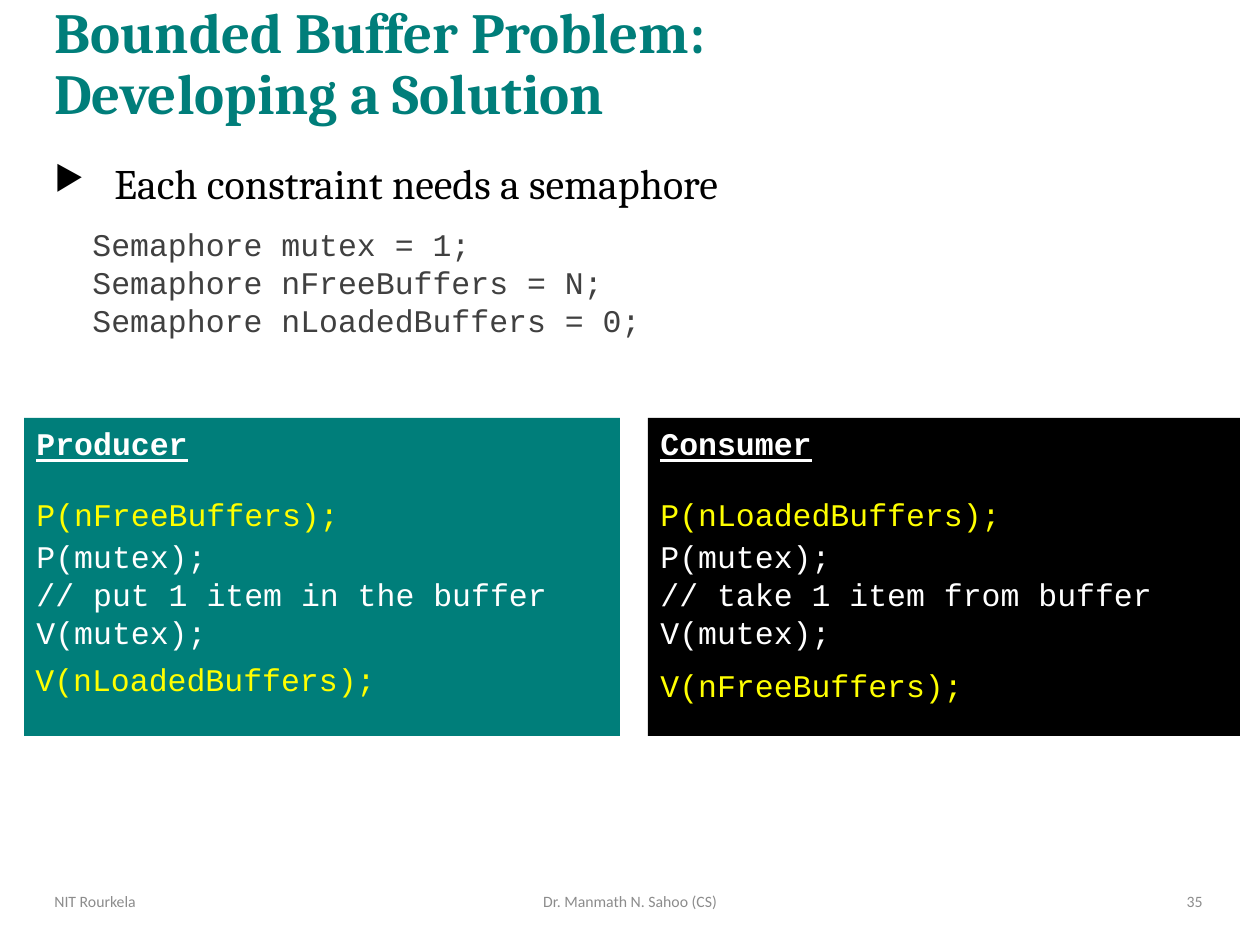
from lxml import etree
from pptx import Presentation, util as u
from pptx.dml.color import RGBColor
from pptx.enum import shapes, text
from pptx.oxml.ns import qn

TEAL, BLACK, WHITE = "007E7A", "000000", "FFFFFF"
YELLOW, DARK_GRAY, GRAY = "FFFF00", "404040", "8C8C8C"
HEADING, CODE, FOOTER = "Cambria", "Courier New", "Calibri"
ALIGN = text.PP_ALIGN
PANEL_TOP, PANEL_HEIGHT = 418, 318


def px(length):
    return u.Emu(round(length * 914400 / 126))


def color(hex_string):
    return RGBColor.from_string(hex_string)


def style(paragraph, name, size, fill, bold=False, underline=False):
    font = paragraph.font
    font.name, font.size = name, u.Pt(size)
    font.bold, font.underline = bold, underline
    font.color.rgb = color(fill)


def add_text_frame(slide, box, anchor=text.MSO_ANCHOR.TOP):
    frame = slide.shapes.add_textbox(*map(px, box)).text_frame
    frame.word_wrap = True
    frame.vertical_anchor = anchor
    return frame


def add_lines(frame, lines):
    """Fill the frame with one paragraph per line and return them."""
    paragraphs = [frame.paragraphs[0]]
    paragraphs += [frame.add_paragraph() for _ in lines[1:]]
    for paragraph, line in zip(paragraphs, lines):
        paragraph.text = line
    return paragraphs


def set_bullet(paragraph, left, indent, character, percent):
    properties = paragraph._p.get_or_add_pPr()
    properties.set("marL", str(px(left)))
    properties.set("indent", str(px(indent)))
    if character:
        size = etree.SubElement(properties, qn("a:buSzPct"))
        size.set("val", str(percent * 1000))
        etree.SubElement(properties, qn("a:buChar")).set("char", character)
    else:
        etree.SubElement(properties, qn("a:buNone"))


def add_title(slide, box, title):
    frame = add_text_frame(slide, box, text.MSO_ANCHOR.MIDDLE)
    paragraph, = add_lines(frame, [title])
    paragraph.line_spacing = 0.9
    style(paragraph, HEADING, 32.4, TEAL, bold=True)


def add_body(slide, box, point, code_lines):
    frame = add_text_frame(slide, box)
    first, *code = add_lines(frame, [point, *code_lines])
    set_bullet(first, 60, -60, "▶", 80)
    first.line_spacing = 1.2
    first.space_after = u.Pt(10)
    style(first, HEADING, 24, BLACK)
    for paragraph in code:
        paragraph.level = 1
        set_bullet(paragraph, 38, 0, None, None)
        style(paragraph, CODE, 18, DARK_GRAY)
    for paragraph in (first, *code):
        paragraph.alignment = ALIGN.JUSTIFY


def add_semaphore_call(slide, box, call):
    frame = add_text_frame(slide, box)
    frame.word_wrap = False
    frame.auto_size = text.MSO_AUTO_SIZE.SHAPE_TO_FIT_TEXT
    paragraph, = add_lines(frame, [call])
    style(paragraph, CODE, 18, YELLOW)


def add_process_panel(slide, box, fill, heading, action, calls):
    """Draw a code panel; calls holds (text, x, y, width) inside the panel."""
    left, top, _, _ = box
    panel = slide.shapes.add_shape(shapes.MSO_SHAPE.RECTANGLE, *map(px, box))
    panel.shadow.inherit = False
    panel.fill.solid()
    panel.fill.fore_color.rgb = color(fill)
    panel.line.fill.background()
    frame = panel.text_frame
    frame.word_wrap = True
    frame.vertical_anchor = text.MSO_ANCHOR.TOP
    paragraphs = add_lines(frame, [heading, "P(mutex);", action, "V(mutex);"])
    for paragraph in paragraphs:
        is_heading = paragraph is paragraphs[0]
        paragraph.alignment = ALIGN.LEFT
        style(paragraph, CODE, 18, WHITE, bold=is_heading, underline=is_heading)
    paragraphs[1].space_before = u.Pt(43)
    for call, x, y, width in calls:
        add_semaphore_call(slide, (left + x, top + y, width, 50), call)


def add_footer(slide, top, height, parts):
    for line, left, width, alignment in parts:
        box = (left, top, width, height)
        frame = add_text_frame(slide, box, text.MSO_ANCHOR.MIDDLE)
        paragraph, = add_lines(frame, [line])
        paragraph.alignment = alignment
        style(paragraph, FOOTER, 9, GRAY)


def main():
    presentation = Presentation()
    presentation.slide_width, presentation.slide_height = px(1260), px(945)
    slide = presentation.slides.add_slide(presentation.slide_layouts[6])
    add_title(slide, (42, 5, 1172, 121),
              "Bounded Buffer Problem:\vDeveloping a Solution")
    add_body(slide, (42, 141, 1172, 209), "Each constraint needs a semaphore",
             ["Semaphore mutex = 1;", "Semaphore nFreeBuffers = N;",
              "Semaphore nLoadedBuffers = 0;"])
    add_footer(slide, 876, 50, [
        ("NIT Rourkela", 42, 328, ALIGN.LEFT),
        ("Dr. Manmath N. Sahoo (CS)", 417, 426, ALIGN.CENTER),
        ("35", 916, 299, ALIGN.RIGHT)])
    add_process_panel(
        slide, (24, PANEL_TOP, 596, PANEL_HEIGHT), TEAL,
        "Producer", "// put 1 item in the buffer",
        [("P(nFreeBuffers);", 0, 71, 329),
         ("V(nLoadedBuffers);", -1, 236, 368)])
    add_process_panel(
        slide, (648, PANEL_TOP, 592, PANEL_HEIGHT), BLACK,
        "Consumer", "// take 1 item from buffer",
        [("P(nLoadedBuffers);", 0, 71, 368),
         ("V(nFreeBuffers);", 0, 242, 329)])
    presentation.save("out.pptx")


if __name__ == "__main__":
    main()
